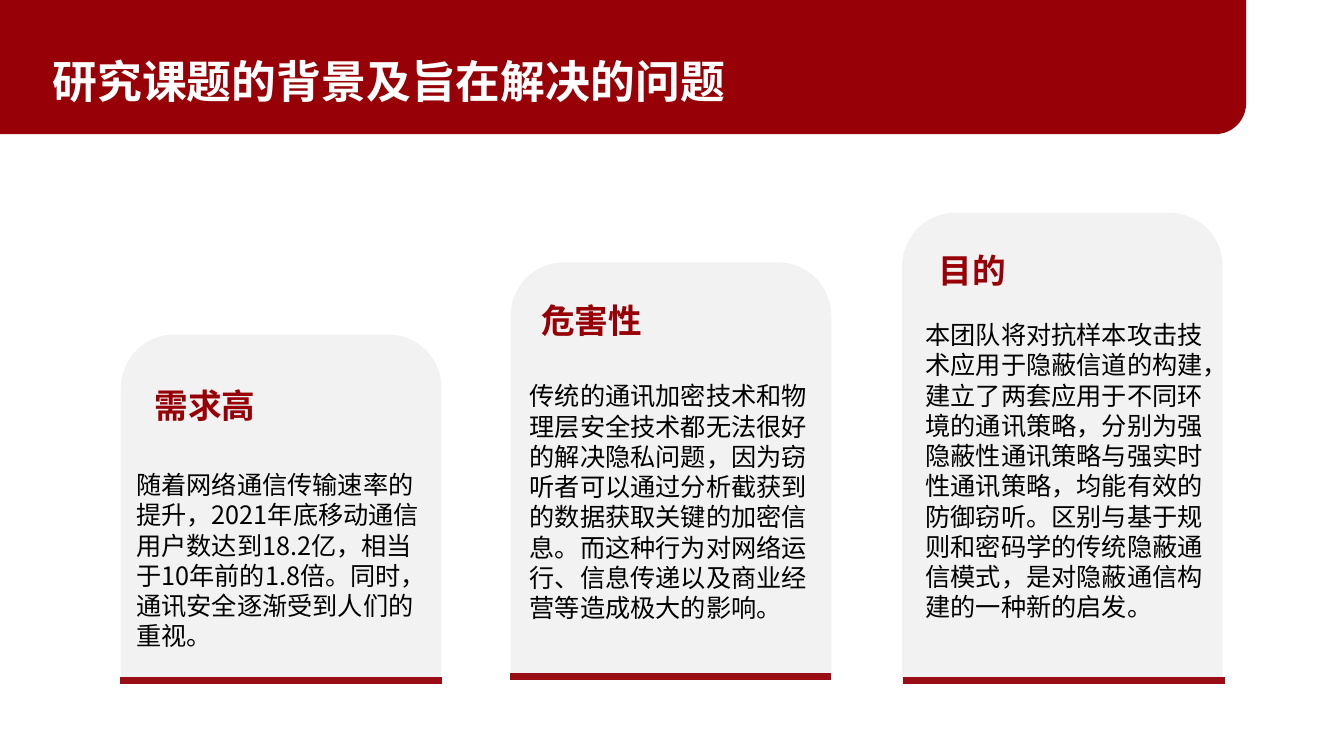
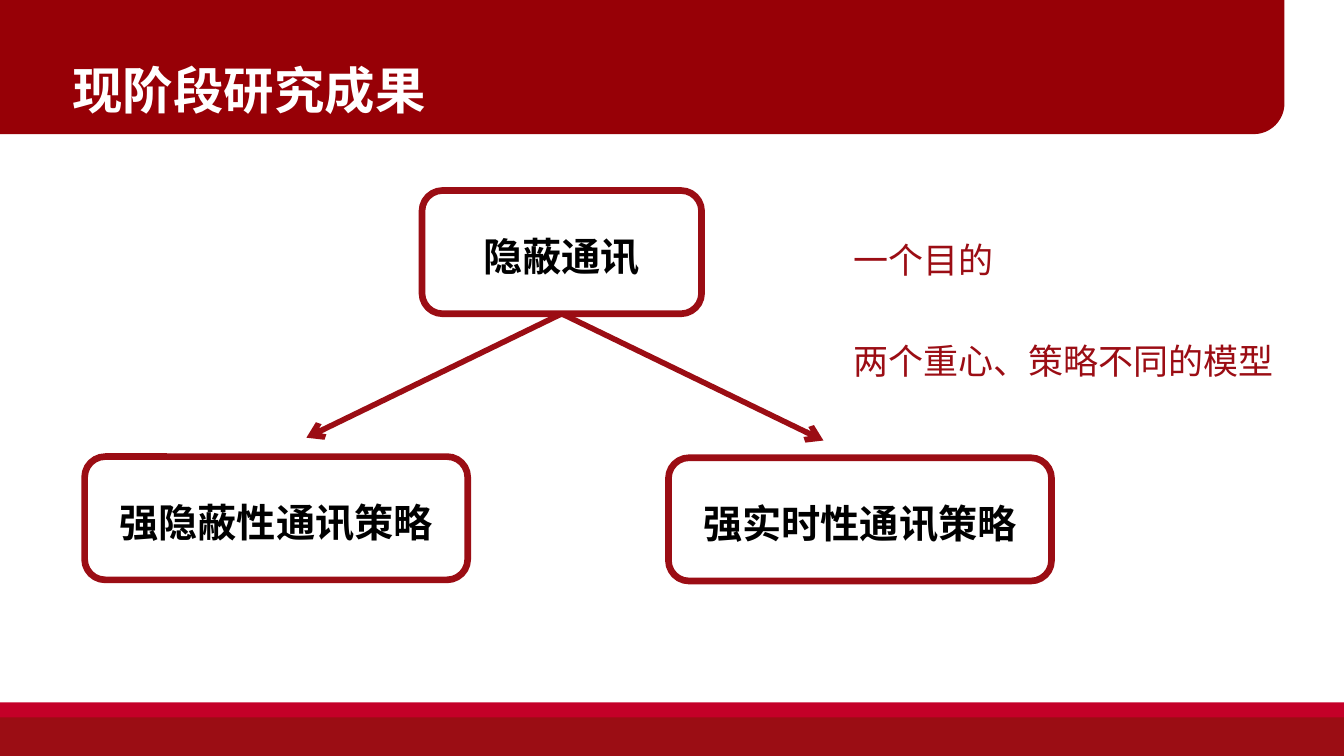
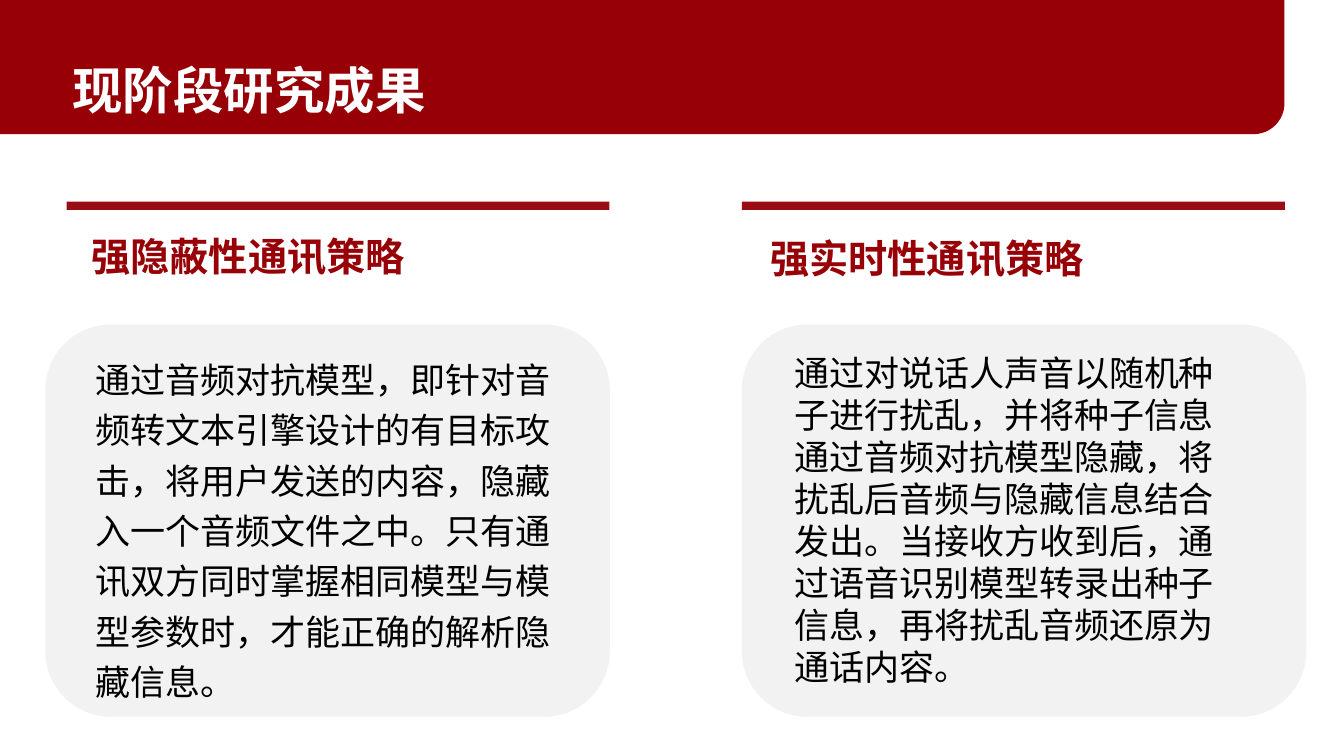
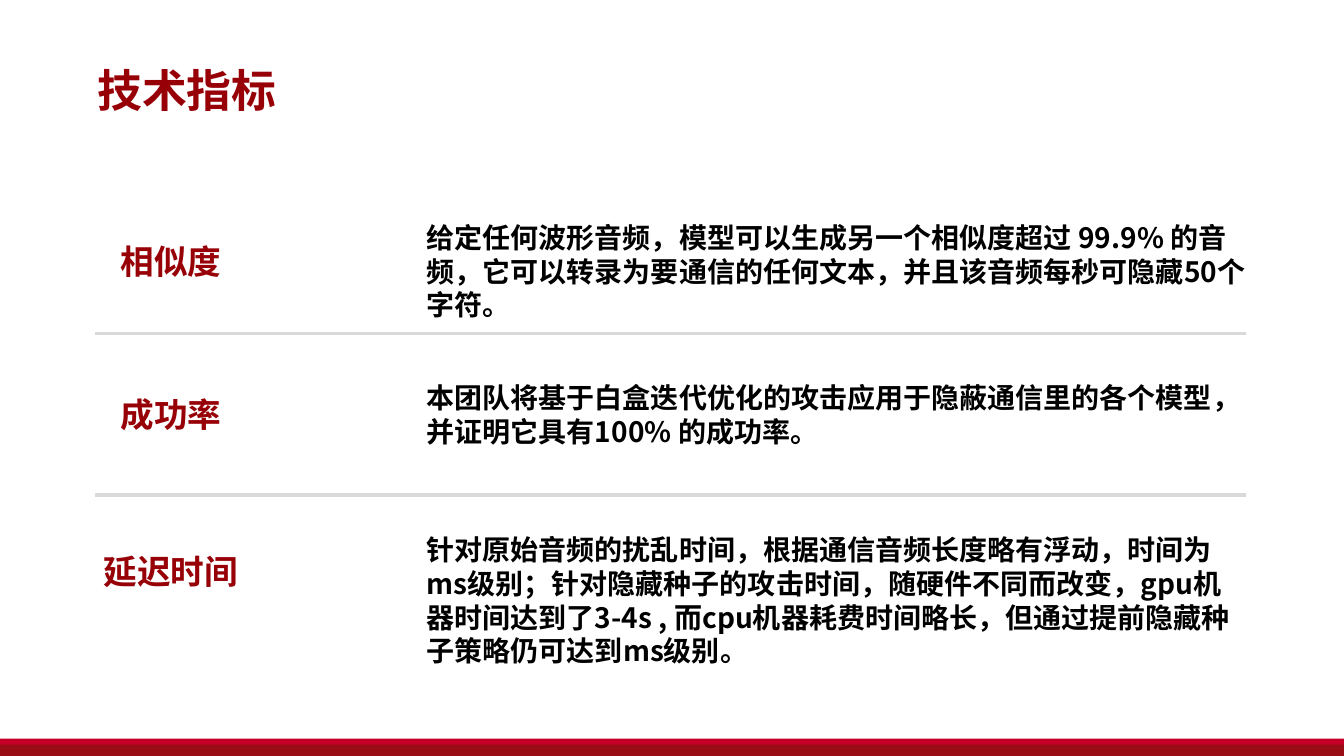
from dataclasses import dataclass

from lxml.etree import SubElement
from pptx import Presentation
from pptx.dml.color import RGBColor
from pptx.enum.shapes import MSO_CONNECTOR as CONNECTOR, MSO_SHAPE as SHAPE
from pptx.enum.text import MSO_ANCHOR as ANCHOR, PP_ALIGN as ALIGN
from pptx.oxml.ns import qn
from pptx.util import Inches, Pt

FONT = "Noto Sans CJK SC"
COLOURS = {
    "band": "970006",
    "accent": "9B0D14",
    "stripe": "C40028",
    "panel": "F2F2F2",
    "rule": "D9D9D9",
    "white": "FFFFFF",
    "black": "000000",
}

# Every slide is a grid of 100 columns by 100 rows.
SLIDE_WIDTH, SLIDE_HEIGHT = Inches(13.33), Inches(7.5)


def columns(count):
    return round(SLIDE_WIDTH * count / 100)


def rows(count):
    return round(SLIDE_HEIGHT * count / 100)


@dataclass
class Box:
    """An area measured in grid columns and rows."""
    left: float
    top: float
    width: float
    height: float

    @property
    def bottom(self):
        return self.top + self.height

    def lengths(self):
        return columns(self.left), rows(self.top), columns(self.width), rows(self.height)


def rgb(name):
    return RGBColor.from_string(COLOURS[name])


def write(frame, lines, size, colour="black", bold=False, align=ALIGN.LEFT, spacing=1.0, gap=0):
    """Fill a text frame, one paragraph for each line; gap is in points."""
    frame.word_wrap = True
    for index, line in enumerate(lines):
        paragraph = frame.add_paragraph() if index else frame.paragraphs[0]
        paragraph.text = line
        paragraph.alignment = align
        paragraph.line_spacing = spacing
        paragraph.space_before = Pt(gap if index else 0)
        font = paragraph.font
        font.size, font.bold, font.name = Pt(size), bold, FONT
        font.color.rgb = rgb(colour)
        defaults = paragraph._p.pPr.find(qn("a:defRPr"))
        SubElement(defaults, qn("a:ea"), typeface=FONT)


def add_text(slide, box, text, size, **style):
    textbox = slide.shapes.add_textbox(*box.lengths())
    write(textbox.text_frame, text.split("\n"), size, **style)


def add_shape(slide, kind, box, fill, outline=None, weight=0):
    shape = slide.shapes.add_shape(kind, *box.lengths())
    shape.shadow.inherit = False
    shape.fill.solid()
    shape.fill.fore_color.rgb = rgb(fill)
    if outline:
        shape.line.color.rgb = rgb(outline)
        shape.line.width = Pt(weight)
    else:
        shape.line.fill.background()
    return shape


def add_line(slide, start, end, colour, weight, arrow=False):
    line = slide.shapes.add_connector(
        CONNECTOR.STRAIGHT, columns(start[0]), rows(start[1]), columns(end[0]), rows(end[1]))
    line.line.color.rgb = rgb(colour)
    line.line.width = Pt(weight)
    properties = line._element.spPr
    if arrow:
        SubElement(properties.find(qn("a:ln")), qn("a:tailEnd"), type="arrow")
    SubElement(properties, qn("a:effectLst"))
    return line


def add_band(slide, right):
    """Red title band that bleeds off the top and left edges."""
    add_shape(slide, SHAPE.ROUNDED_RECTANGLE, Box(-2.3, -6.65, right + 2.3, 24.4), "band")


def add_title(slide, left, top, text, size, colour="white"):
    add_text(slide, Box(left, top, 55, 9.5), text, size, colour=colour, bold=True)


def add_footer(slide, top, dark_top):
    for start, colour in ((top, "stripe"), (dark_top, "accent")):
        add_shape(slide, SHAPE.RECTANGLE, Box(0, start, 100, 100 - start), colour)


def add_card(slide, box, line_shift, heading, heading_offset, body, body_offset):
    add_shape(slide, SHAPE.ROUND_2_SAME_RECTANGLE, box, "panel")
    line_left = box.left + line_shift
    add_line(slide, (line_left, box.bottom), (line_left + 23.93, box.bottom), "accent", 5)
    dx, dy = heading_offset
    add_text(slide, Box(box.left + dx, box.top + dy, 14, 6.7), heading, 24,
             colour="band", bold=True)
    dx, dy = body_offset
    add_text(slide, Box(box.left + dx, box.top + dy, 23, box.height - dy - 1), body, 18)


def add_node(slide, box, text):
    node = add_shape(slide, SHAPE.ROUNDED_RECTANGLE, box, "white", "accent", 4.75)
    frame = node.text_frame
    frame.vertical_anchor = ANCHOR.MIDDLE
    frame.margin_top, frame.margin_bottom = Inches(0.12), Inches(0.05)
    write(frame, [text], 28, bold=True, align=ALIGN.CENTER)
    return node


def add_strategy(slide, box, bar_left, heading, heading_offset, body, body_box, spacing):
    """A bar and heading above a rounded panel, which fills the box."""
    add_shape(slide, SHAPE.RECTANGLE, Box(bar_left, box.top - 16.27, 40.4, 1.1), "accent")
    dx, dy = heading_offset
    add_text(slide, Box(bar_left + dx, box.top + dy, 30, 7.6), heading, 28,
             colour="band", bold=True)
    add_shape(slide, SHAPE.ROUNDED_RECTANGLE, box, "panel")
    dx, dy, width = body_box
    add_text(slide, Box(box.left + dx, box.top + dy, width, box.height - dy), body, 25,
             spacing=spacing)


def add_metric(slide, box, heading, drop, body):
    """One indicator; drop is how far the heading sits below the top of the box."""
    add_text(slide, Box(box.left - 4, box.top + drop, 19.36, 6.7), heading, 24,
             colour="band", bold=True, align=ALIGN.CENTER)
    add_text(slide, Box(box.left + 23.97, box.top, 62.64, box.height), body, 20, bold=True)


def background_slide(slide):
    add_band(slide, 92.72)
    add_title(slide, 3.17, 6.5, "研究课题的背景及旨在解决的问题", 32)
    cards = (
        (9, 44.25, 90, -0.07, "需求高", (1.77, 6.05),
         "随着网络通信传输速率的提升，2021年底移动通信用户数达到18.2亿，相当于10年前的1.8倍。"
         "同时，通讯安全逐渐受到人们的重视。", (0.4, 17.2)),
        (38, 34.7, 89.5, -0.07, "危害性", (1.53, 4.35),
         "传统的通讯加密技术和物理层安全技术都无法很好的解决隐私问题，因为窃听者可以通过分析截获到的"
         "数据获取关键的加密信息。而这种行为对网络运行、信息传递以及商业经营等造成极大的影响。",
         (0.67, 15)),
        (67.12, 28.15, 90, 0.1, "目的", (1.97, 4.25),
         "本团队将对抗样本攻击技术应用于隐蔽信道的构建，建立了两套应用于不同环境的通讯策略，"
         "分别为强隐蔽性通讯策略与强实时性通讯策略，均能有效的防御窃听。"
         "区别与基于规则和密码学的传统隐蔽通信模式，是对隐蔽通信构建的一种新的启发。", (1, 13.45)),
    )
    for left, top, bottom, *content in cards:
        add_card(slide, Box(left, top, 23.85, bottom - top), *content)


def results_title(slide):
    add_band(slide, 95.57)
    add_title(slide, 4.66, 7.2, "现阶段研究成果", 36)


def strategies_slide(slide):
    results_title(slide)
    purpose = add_node(slide, Box(31.4, 25.2, 20.8, 16.3), "隐蔽通讯")
    add_node(slide, Box(6.3, 60.4, 28.5, 16.3), "强隐蔽性通讯策略")
    add_node(slide, Box(49.74, 60.55, 28.5, 16.3), "强实时性通讯策略")
    for arrow_end in ((22.8, 57.9), (61.27, 58.27)):
        arrow = add_line(slide, (41.8, 41.5), arrow_end, "accent", 4, arrow=True)
        arrow.begin_connect(purpose, 2)
    add_text(slide, Box(62.8, 29.8, 33.5, 22.4), "一个目的\n两个重心、策略不同的模型", 25,
             colour="accent", spacing=1.2, gap=36)
    add_footer(slide, 92.9, 94.9)


def details_slide(slide):
    results_title(slide)
    strategies = (
        (3.38, 4.95, "强隐蔽性通讯策略", (1.12, -12.9),
         "通过音频对抗模型，即针对音频转文本引擎设计的有目标攻击，将用户发送的内容，"
         "隐藏入一个音频文件之中。只有通讯双方同时掌握相同模型与模型参数时，才能正确的解析隐藏信息。",
         (3, 2.7, 36), 1.2),
        (55.2, 55.2, "强实时性通讯策略", (1.38, -12.65),
         "通过对说话人声音以随机种子进行扰乱，并将种子信息通过音频对抗模型隐藏，"
         "将扰乱后音频与隐藏信息结合发出。当接收方收到后，通过语音识别模型转录出种子信息，"
         "再将扰乱音频还原为通话内容。", (3.17, 2.95, 34.8), 1.0),
    )
    for left, *content in strategies:
        add_strategy(slide, Box(left, 42.93, 42, 51.87), *content)


def metrics_slide(slide):
    add_title(slide, 6.5, 7.6, "技术指标", 32, "band")
    metrics = (
        (28.53, 14.8, "相似度", 2.67,
         "给定任何波形音频，模型可以生成另一个相似度超过 99.9% 的音频，"
         "它可以转录为要通信的任何文本，并且该音频每秒可隐藏50个字符。"),
        (49.73, 10.3, "成功率", 1.74,
         "本团队将基于白盒迭代优化的攻击应用于隐蔽通信里的各个模型，并证明它具有100% 的成功率。"),
        (69.82, 19.3, "延迟时间", 2.4,
         "针对原始音频的扰乱时间，根据通信音频长度略有浮动，时间为ms级别；"
         "针对隐藏种子的攻击时间，随硬件不同而改变，gpu机器时间达到了3-4s , "
         "而cpu机器耗费时间略长，但通过提前隐藏种子策略仍可达到ms级别。"),
    )
    for top, height, *content in metrics:
        add_metric(slide, Box(7.03, top, 85.7, height), *content)
    for level in (44.15, 65.45):
        add_line(slide, (7.07, level), (92.7, level), "rule", 2.5)
    add_footer(slide, 97.7, 98.5)


def main():
    presentation = Presentation()
    presentation.slide_width, presentation.slide_height = SLIDE_WIDTH, SLIDE_HEIGHT
    blank = presentation.slide_layouts[6]
    for build in (background_slide, strategies_slide, details_slide, metrics_slide):
        build(presentation.slides.add_slide(blank))
    presentation.save("out.pptx")


if __name__ == "__main__":
    main()
